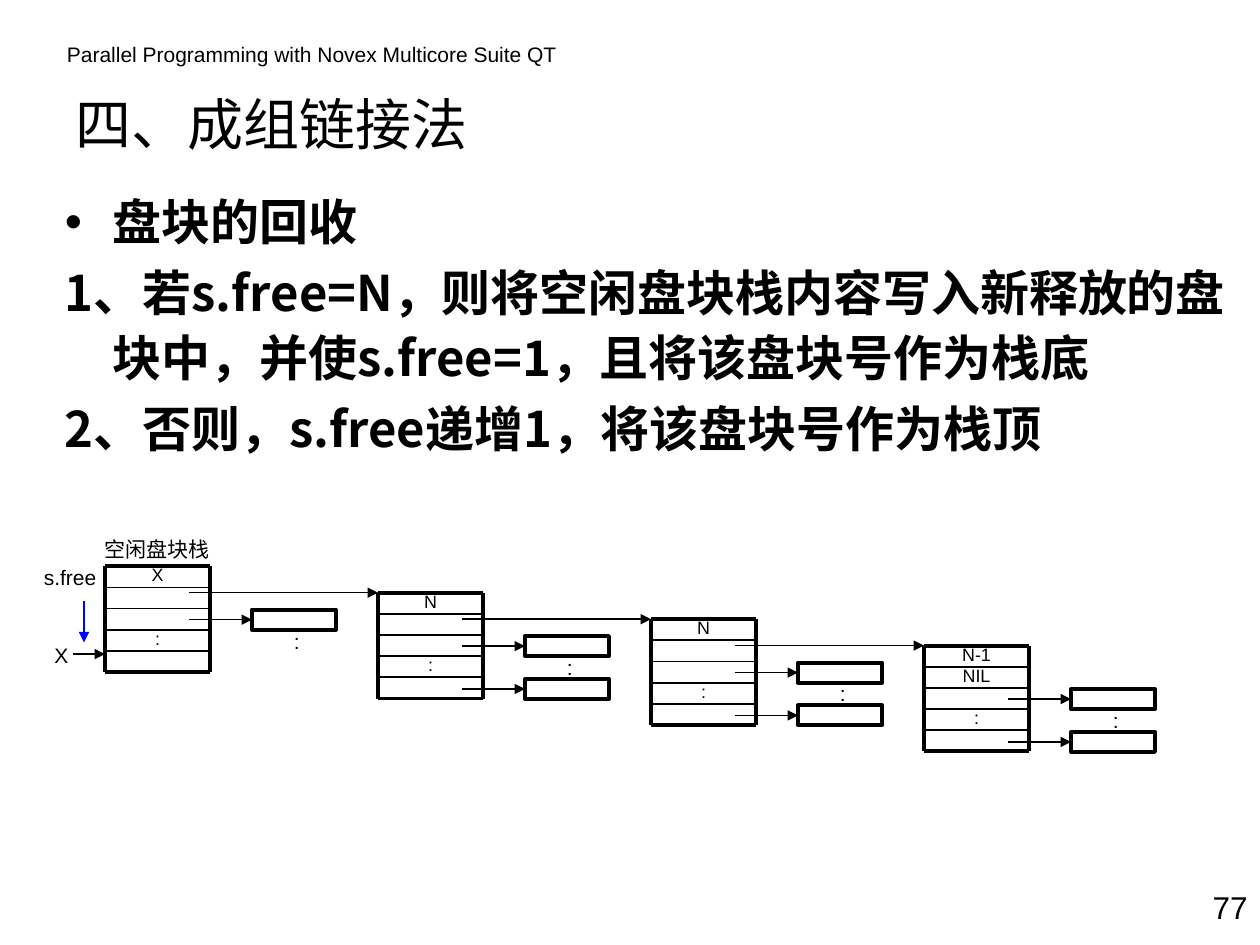
from dataclasses import dataclass
from lxml.etree import SubElement
from pptx import Presentation
from pptx.dml.color import RGBColor
from pptx.enum.shapes import MSO_CONNECTOR, MSO_SHAPE
from pptx.enum.text import MSO_ANCHOR, PP_ALIGN
from pptx.oxml.ns import qn
from pptx.util import Inches, Pt


@dataclass(frozen=True)
class Theme:
    ink: RGBColor = RGBColor(0, 0, 0)
    blue: RGBColor = RGBColor(0, 0, 255)
    latin: str = "Arial"
    asian: str = "Noto Sans CJK SC"
    title: float = 32
    body: float = 28
    page: float = 18
    label: float = 12
    cell: float = 10.2
    thick: float = 2.25
    thin: float = 1
    hair: float = 0.75


class Board:
    """Places elements on a grid: 60 columns across, rows of 0.042 inch."""

    def __init__(self, deck, theme):
        self.theme = theme
        self.slide = deck.slides.add_slide(deck.slide_layouts[6])
        self.wide = deck.slide_width / 60
        self.high = Inches(0.042)

    def spot(self, col, row):
        return round(col * self.wide), round(row * self.high)

    def text(self, at, words, size, font=None, bold=False, align=PP_ALIGN.LEFT,
             anchor=MSO_ANCHOR.TOP, pad=0.05, lead=None):
        box = self.slide.shapes.add_textbox(*self.spot(*at[:2]), *self.spot(*at[2:]))
        frame = box.text_frame
        frame.word_wrap = True
        frame.vertical_anchor = anchor
        frame.margin_top = frame.margin_bottom = Inches(pad)
        frame.text = words
        for para in frame.paragraphs:
            para.alignment = align
            if lead:
                para.line_spacing = lead
            for run in para.runs:
                run.font.size = Pt(size)
                run.font.bold = bold
                run.font.name = font or self.theme.latin
                run.font.color.rgb = self.theme.ink
                face = SubElement(run.font._element, qn("a:ea"))
                face.set("typeface", self.theme.asian)
        return frame

    def points(self, at, words):
        frame = self.text(at, words, self.theme.body, self.theme.asian,
                          bold=True, lead=1.1)
        for num, para in enumerate(frame.paragraphs):
            props = para._p.get_or_add_pPr()
            props.set("marL", str(Inches(0.38)))
            props.set("indent", str(-Inches(0.38)))
            if num:
                para.space_before = Pt(3.5)
            else:
                SubElement(props, qn("a:buFont")).set("typeface", self.theme.latin)
                SubElement(props, qn("a:buChar")).set("char", "•")

    def line(self, start, end, width, color=None, arrow=False):
        line = self.slide.shapes.add_connector(
            MSO_CONNECTOR.STRAIGHT, *self.spot(*start), *self.spot(*end))
        line.line.width = Pt(width)
        line.line.color.rgb = color or self.theme.ink
        if arrow:
            SubElement(line.line._get_or_add_ln(), qn("a:tailEnd")).set("type", "triangle")
        SubElement(line._element.spPr, qn("a:effectLst"))
        return line

    def arrow(self, start, end, color=None):
        return self.line(start, end, self.theme.hair, color, arrow=True)

    def block(self, col, mid):
        """A free disk block, centred on row mid."""
        box = self.slide.shapes.add_shape(
            MSO_SHAPE.RECTANGLE, *self.spot(col, mid - 1.9), *self.spot(4, 3.8))
        box.shadow.inherit = False
        box.fill.background()
        box.line.color.rgb = self.theme.ink
        box.line.width = Pt(self.theme.thick)
        return box

    def stack(self, col, row, cells):
        """A table of five cells, each four rows high."""
        style = self.theme
        for num, words in enumerate(cells):
            if words:
                self.text((col, row + 4 * num, 5, 4), words, style.cell,
                          align=PP_ALIGN.CENTER, pad=0, lead=0.9)
        for num in range(6):
            level = row + 4 * num
            self.line((col, level), (col + 5, level),
                      style.thick if num in (0, 5) else style.thin)
        for side in (col, col + 5):
            self.line((side, row), (side, row + 20), style.thick)

    def group(self, col, row, cells, mids, last):
        """A stack, the blocks it points to, and the link to the next stack."""
        self.stack(col, row, cells)
        for mid in mids:
            box = self.block(col + 7, row + mid)
            self.arrow((col + 4, row + mid), (col + 7, row + mid)).end_connect(box, 1)
        self.text((col + 8.4, row + 11.7, 1.6, 4.8), ":", self.theme.label, pad=0)
        if not last:
            self.arrow((col + 4, row + 5), (col + 13, row + 5))


def main():
    deck = Presentation()
    deck.slide_width, deck.slide_height = Inches(10), Inches(7.5)
    theme = Theme()
    board = Board(deck, theme)

    # Header, title and page number
    board.text((2.6, 6.7, 24.6, 7.1),
               "Parallel Programming with Novex Multicore Suite QT", theme.label)
    board.text((3, 14.3, 30.5, 17.9), "四、成组链接法", theme.title, theme.asian,
               anchor=MSO_ANCHOR.MIDDLE)
    board.text((56, 166.7, 4, 9.5), "77", theme.page, align=PP_ALIGN.RIGHT)

    # Rules for giving blocks back
    board.points((2.5, 34, 57.5, 69.5), "\n".join([
        "盘块的回收",
        "1、若s.free=N，则将空闲盘块栈内容写入新释放的盘块中，并使s.free=1，且将该盘块号作为栈底",
        "2、否则，s.free递增1，将该盘块号作为栈顶"]))

    # Chain of stacks, each 13 columns right and 5 rows down
    near, far = 10.1, 18.2
    chain = [("X", "", (near,)), ("N", "", (near, far)),
             ("N", "", (near, far)), ("N-1", "NIL", (near, far))]
    for num, (top, second, mids) in enumerate(chain):
        board.group(5 + 13 * num, 107 + 5 * num, (top, second, "", ":", ""),
                    mids, last=num == len(chain) - 1)

    # Labels and pointers of the first stack
    board.text((4, 100.2, 7, 7.1), "空闲盘块栈", theme.label, align=PP_ALIGN.CENTER)
    board.text((1.5, 105.5, 4, 7.1), "s.free", theme.label)
    board.text((2, 120.2, 1.5, 7.1), "X", theme.label)
    board.arrow((3.5, 123.6), (5, 123.6))
    board.arrow((4, 113.6), (4, 121.4), theme.blue)

    deck.save("out.pptx")


if __name__ == "__main__":
    main()
